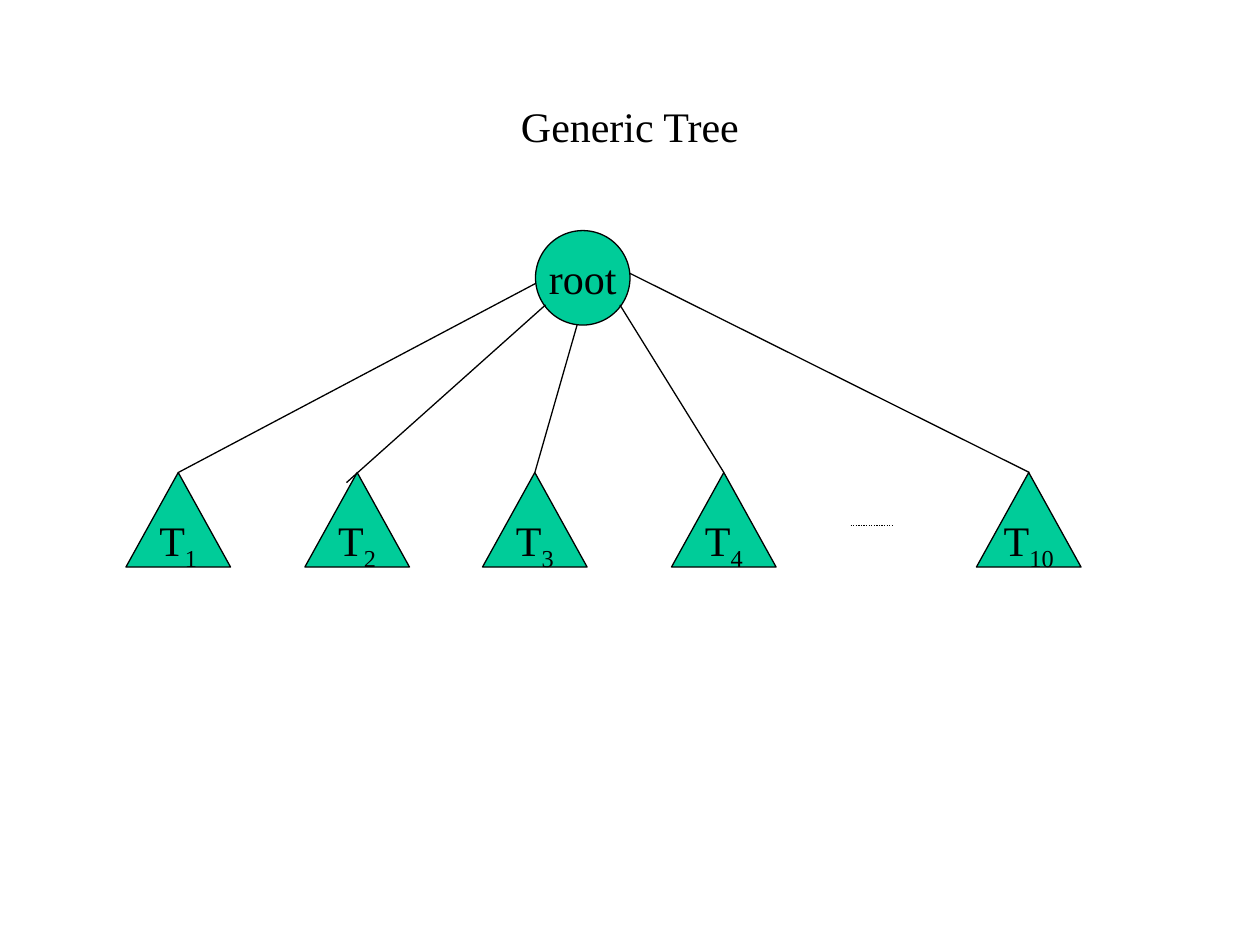
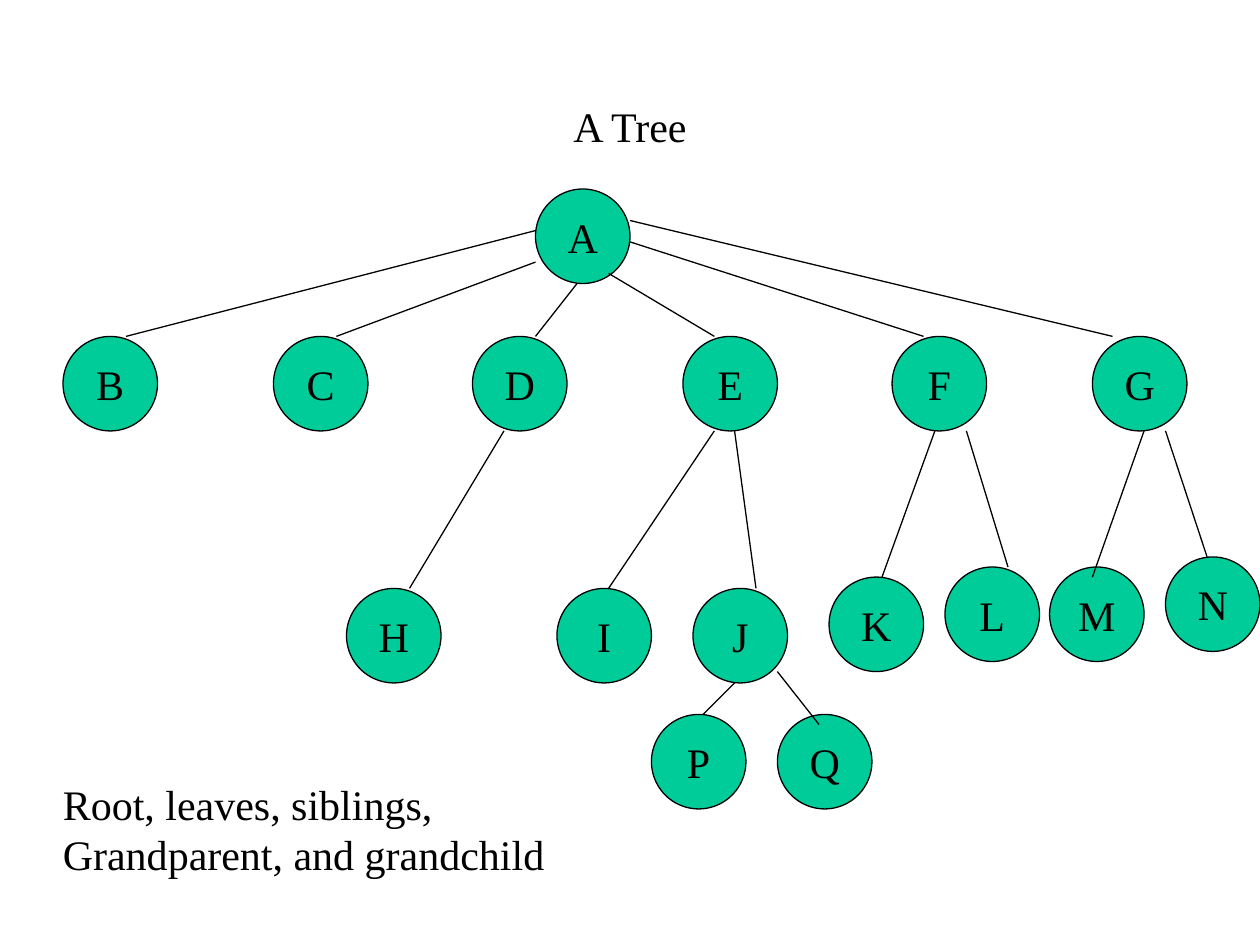
from pptx import Presentation
from pptx.dml.color import RGBColor
from pptx.enum.dml import MSO_LINE
from pptx.enum.shapes import MSO_CONNECTOR, MSO_SHAPE
from pptx.enum.text import MSO_ANCHOR, MSO_AUTO_SIZE, PP_ALIGN
from pptx.oxml.ns import qn
from pptx.util import Inches, Pt
from lxml.etree import SubElement

COLORS = {"node": "00CC99", "ink": "000000"}
FONT = "Times New Roman"
NODE_SIZE = 0.75
SUBTREE_WIDTH = 0.83
SUBTREE_TOP = 3.75
LEVEL_TOP = 2.67


def write(frame, text, subscript="", align=PP_ALIGN.CENTER, anchor=MSO_ANCHOR.MIDDLE, wrap=False):
    frame.word_wrap = wrap
    frame.vertical_anchor = anchor
    frame.text = text
    if subscript:
        index_run = frame.paragraphs[0].add_run()
        index_run.text = subscript
        index_run._r.get_or_add_rPr().set("baseline", "-25000")
    for paragraph in frame.paragraphs:
        paragraph.alignment = align
        paragraph.space_before = Pt(0)
        for run in paragraph.runs:
            run.font.size = Pt(24)
            run.font.name = FONT
            run.font.color.rgb = RGBColor.from_string(COLORS["ink"])


def draw_line(slide, start, end):
    line = slide.shapes.add_connector(MSO_CONNECTOR.STRAIGHT, *map(Inches, start + end))
    line.line.color.rgb = RGBColor.from_string(COLORS["ink"])
    line.line.width = Pt(0.75)
    SubElement(line._element.spPr, qn("a:effectLst"))
    return line


subtrees = [("1", 1), ("2", 2.42), ("3", 3.83), ("4", 5.33), ("10", 7.75)]
generic_nodes = [("root", "", 4.25, 1.83)]
generic_nodes += [("T", index, left, SUBTREE_TOP) for index, left in subtrees]
generic_edges = [
    ((4.25, 2.25), (1.42, 3.75)),
    ((4.33, 2.42), (2.75, 3.83)),
    ((4.58, 2.58), (4.25, 3.75)),
    ((4.92, 2.42), (5.75, 3.75)),
    ((5, 2.17), (8.17, 3.75)),
]

children = zip("BCDEFG", (0.5, 2.17, 3.75, 5.42, 7.08, 8.67))
family_nodes = [("A", "", 4.25, 1.5)]
family_nodes += [(letter, "", left, LEVEL_TOP) for letter, left in children]
family_nodes += [
    ("H", "", 2.75, 4.67),
    ("I", "", 4.42, 4.67),
    ("J", "", 5.5, 4.67),
    ("K", "", 6.58, 4.58),
    ("L", "", 7.5, 4.5),
    ("M", "", 8.33, 4.5),
    ("N", "", 9.25, 4.42),
    ("P", "", 5.17, 5.67),
    ("Q", "", 6.17, 5.67),
]
family_edges = [
    ((4.25, 1.83), (1, 2.67)),
    ((4.25, 2.08), (2.67, 2.67)),
    ((4.58, 2.25), (4.25, 2.67)),
    ((4.83, 2.17), (5.67, 2.67)),
    ((5, 1.92), (7.33, 2.67)),
    ((5, 1.75), (8.83, 2.67)),
    ((4, 3.42), (3.25, 4.67)),
    ((5.67, 3.42), (4.83, 4.67)),
    ((5.83, 3.42), (6, 4.67)),
    ((5.83, 5.42), (5.58, 5.67)),
    ((6.17, 5.33), (6.5, 5.75)),
    ((7.42, 3.42), (7, 4.58)),
    ((7.67, 3.42), (8, 4.5)),
    ((9.08, 3.42), (8.67, 4.58)),
    ((9.25, 3.42), (9.58, 4.42)),
]

trees = [
    ("Generic Tree", generic_nodes, generic_edges),
    ("A Tree", family_nodes, family_edges),
]

deck = Presentation()
deck.slide_width, deck.slide_height = Inches(10), Inches(7.5)

for heading, nodes, edges in trees:
    slide = deck.slides.add_slide(deck.slide_layouts[1])
    unused_title = slide.shapes.title._element
    unused_title.getparent().remove(unused_title)

    body = slide.placeholders[1]
    body.left, body.top, body.width, body.height = map(Inches, (0.75, 0.75, 8.5, 5.92))
    write(body.text_frame, heading, anchor=MSO_ANCHOR.TOP, wrap=True)
    heading_format = body.text_frame.paragraphs[0]._p.get_or_add_pPr()
    heading_format.set("marL", str(Inches(0.38)))
    heading_format.set("indent", str(Inches(-0.38)))
    SubElement(heading_format, qn("a:buNone"))

    apexes = {}
    for label, index, left, top in nodes:
        preset = MSO_SHAPE.ISOSCELES_TRIANGLE if index else MSO_SHAPE.OVAL
        width = SUBTREE_WIDTH if index else NODE_SIZE
        node = slide.shapes.add_shape(preset, *map(Inches, (left, top, width, NODE_SIZE)))
        node.shadow.inherit = False
        node.fill.solid()
        node.fill.fore_color.rgb = RGBColor.from_string(COLORS["node"])
        node.line.color.rgb = RGBColor.from_string(COLORS["ink"])
        node.line.width = Pt(0.75)
        write(node.text_frame, label, subscript=index)
        if index:
            apexes[round(left + width / 2, 2), top] = node

    for start, end in edges:
        edge = draw_line(slide, start, end)
        if end in apexes:
            edge.end_connect(apexes[end], 0)

generic_slide, family_slide = deck.slides
ellipsis = draw_line(generic_slide, (6.75, 4.17), (7.08, 4.17))
ellipsis.line.dash_style = MSO_LINE.ROUND_DOT

terms = family_slide.shapes.add_textbox(*map(Inches, (0.4, 6.13, 4.02, 0.9)))
write(
    terms.text_frame,
    "Root, leaves, siblings,\nGrandparent, and grandchild",
    align=PP_ALIGN.LEFT,
    anchor=MSO_ANCHOR.TOP,
)
terms.text_frame.auto_size = MSO_AUTO_SIZE.SHAPE_TO_FIT_TEXT

deck.save("out.pptx")
